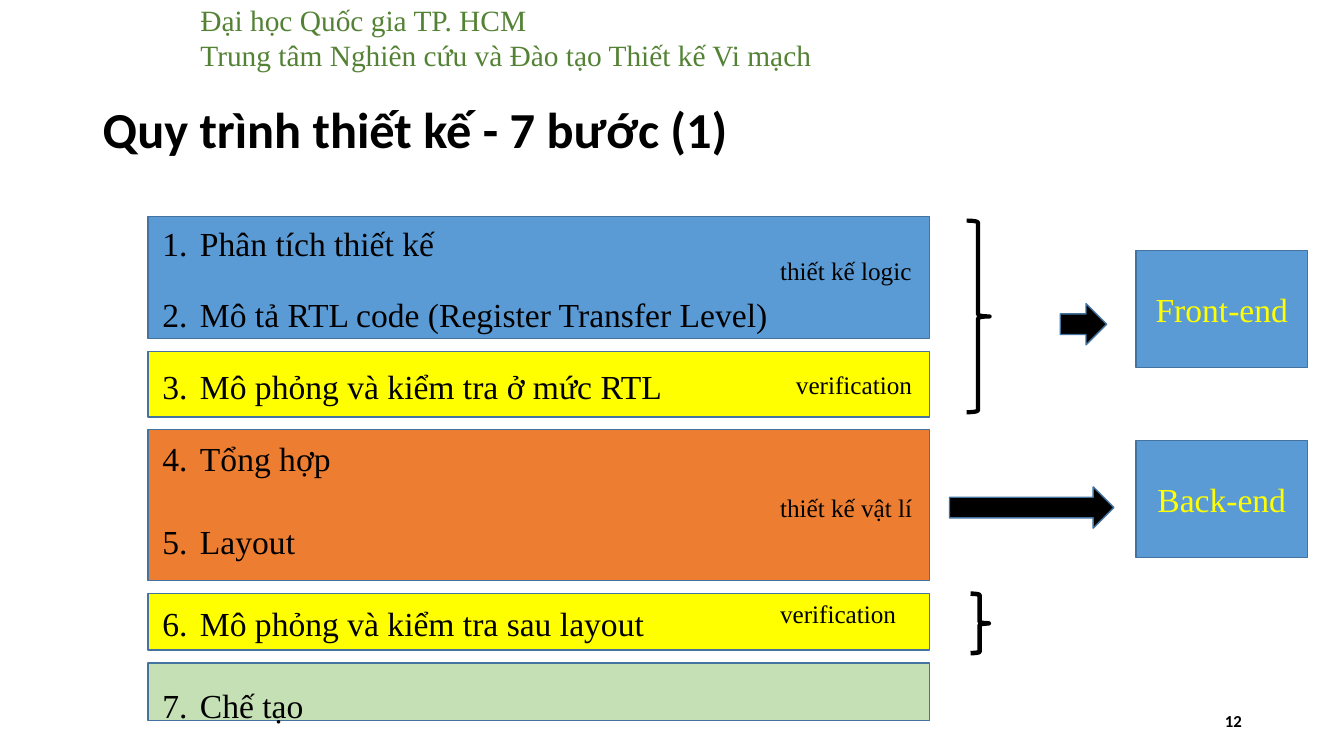
from lxml import etree
from pptx import Presentation
from pptx.dml.color import RGBColor
from pptx.enum.shapes import MSO_SHAPE
from pptx.enum.text import MSO_ANCHOR, PP_ALIGN
from pptx.oxml.ns import qn
from pptx.util import Cm, Pt

RECT, ARROW, BRACE = MSO_SHAPE.RECTANGLE, MSO_SHAPE.RIGHT_ARROW, MSO_SHAPE.RIGHT_BRACE
TOP, MID = MSO_ANCHOR.TOP, MSO_ANCHOR.MIDDLE
LEFT, MIDDLE, RIGHT = PP_ALIGN.LEFT, PP_ALIGN.CENTER, PP_ALIGN.RIGHT
SERIF, SANS = "Times New Roman", "Calibri"
BLACK, BLUE, YELLOW, EDGE = "000000", "5B9BD5", "FFFF00", "43739E"

# Content, lengths in cm
HEAD = ["Đại học Quốc gia TP. HCM",
        "Trung tâm Nghiên cứu và Đào tạo Thiết kế Vi mạch"]
TITLE = "Quy trình thiết kế - 7 bước (1)"
PAGE = "12"
STEPS = [  # text, space before in points
    ("Phân tích thiết kế", 0),
    ("Mô tả RTL code (Register Transfer Level)", 22.6),
    ("Mô phỏng và kiểm tra ở mức RTL", 22.6),
    ("Tổng hợp", 22.6),
    ("Layout", 30),
    ("Mô phỏng và kiểm tra sau layout", 30),
    ("Chế tạo", 30),
]
BARS = [  # top, height, fill
    (5.46, 3.07, BLUE),
    (8.86, 1.65, YELLOW),
    (10.82, 3.81, "ED7D31"),
    (14.96, 1.42, YELLOW),
    (16.71, 1.45, "C5E0B4"),
]
TAGS = [  # text, left, top
    ("thiết kế logic", 19.41, 6.32),
    ("verification", 19.81, 9.17),
    ("thiết kế vật lí", 19.41, 12.29),
    ("verification", 19.41, 14.96),
]
BRACES = [(24.36, 5.56, 0.58, 4.83, 3), (24.46, 14.96, 0.46, 1.5, 3.25)]
ARROWS = [(26.72, 7.65, 1.17, 1.04), (23.93, 12.27, 4.14, 1.04)]
ENDS = [("Front-end", 6.32), ("Back-end", 11.1)]

deck = Presentation()
deck.slide_width, deck.slide_height = Cm(33.87), Cm(19.05)
slide = deck.slides.add_slide(deck.slide_layouts[6])


def color(code):
    return RGBColor.from_string(code)


def write(par, text, size, font=SERIF, ink=BLACK, bold=False):
    run = par.add_run()
    run.text = text
    run.font.size, run.font.name, run.font.bold = Pt(size), font, bold
    run.font.color.rgb = color(ink)


def fill_text(frame, lines, size, align=LEFT, anchor=TOP, **style):
    frame.word_wrap, frame.vertical_anchor = True, anchor
    for i, line in enumerate(lines):
        par = frame.add_paragraph() if i else frame.paragraphs[0]
        par.alignment = align
        write(par, line, size, **style)
    return frame


def add_text(box, lines, size, **style):
    shape = slide.shapes.add_textbox(*map(Cm, box))
    return fill_text(shape.text_frame, lines, size, **style)


def add_form(kind, box, fill=None, edge=EDGE, width=1):
    shape = slide.shapes.add_shape(kind, *map(Cm, box))
    shape.shadow.inherit = False
    if fill:
        shape.fill.solid()
        shape.fill.fore_color.rgb = color(fill)
    else:
        shape.fill.background()
    shape.line.color.rgb, shape.line.width = color(edge), Pt(width)
    return shape


def number(par):
    props = par._p.get_or_add_pPr()
    props.set("marL", str(Cm(0.95)))
    props.set("indent", str(-Cm(0.95)))
    etree.SubElement(props, qn("a:buFont")).set("typeface", SERIF)
    etree.SubElement(props, qn("a:buAutoNum")).set("type", "arabicPeriod")


# Header, title and page number
add_text((4.8, -0.08, 29.06, 2.06), HEAD, 21, ink="548235")
title = add_text((2.34, 1.98, 29.21, 2.72), [TITLE], 36, anchor=MID, font=SANS, bold=True)
title.paragraphs[0].line_spacing = 0.9
add_text((23.93, 17.65, 7.62, 1.02), [PAGE], 12, align=RIGHT, anchor=MID,
         font=SANS, bold=True)

# Coloured bars with the numbered steps over them
for top, high, fill in BARS:
    add_form(RECT, (3.73, top, 19.69, high), fill)
steps = add_text((3.84, 5.48, 19.5, 13), [text for text, gap in STEPS], 24)
for par, (text, gap) in zip(steps.paragraphs, STEPS):
    number(par)
    if gap:
        par.space_before = Pt(gap)

# Stage tags
for text, left, top in TAGS:
    add_text((left, top, 5.5, 1.02), [text], 18)

# Braces, arrows and the two ends
for *box, width in BRACES:
    add_form(BRACE, box, edge=BLACK, width=width)
for box in ARROWS:
    add_form(ARROW, box, BLACK)
for text, top in ENDS:
    end = add_form(RECT, (28.63, top, 4.32, 2.95), BLUE)
    fill_text(end.text_frame, [text], 24, align=MIDDLE, anchor=MID, ink=YELLOW)

deck.save("out.pptx")
